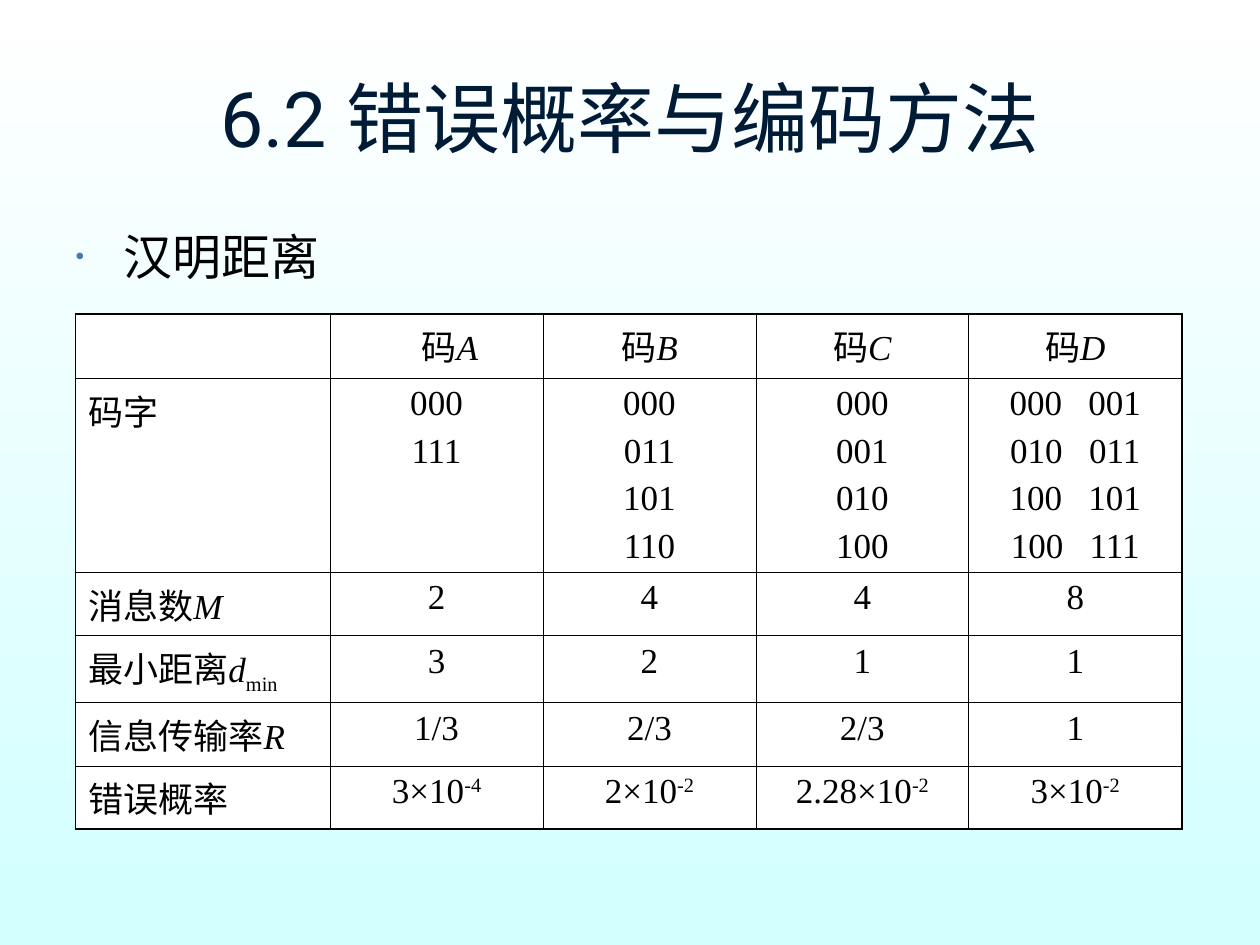
from lxml import etree
from pptx import Presentation
from pptx import util as u
from pptx.dml.color import RGBColor
from pptx.enum import text
from pptx.oxml.ns import qn

ALIGN = text.PP_ALIGN
SERIF = "Times New Roman"
SANS = "Roboto"
BLACK = "000000"
THIN, THICK = 0.45, 1.08
COLUMN_WIDTHS = [2.02] + [1.69] * 4
ROW_HEIGHTS = [0.51, 1.54, 0.5, 0.53, 0.5, 0.5]
CODES = ["A", "B", "C", "D"]
CODEWORDS = [
    ["000", "111"],
    ["000", "011", "101", "110"],
    ["000", "001", "010", "100"],
    ["000 001", "010 011", "100 101", "100 111"],
]
ROW_LABELS = [
    ("码字", "", ""),
    ("消息数", "M", ""),
    ("最小距离", "d", "min"),
    ("信息传输率", "R", ""),
    ("错误概率", "", ""),
]
VALUES = [
    ["2", "4", "4", "8"],
    ["3", "2", "1", "1"],
    ["1/3", "2/3", "2/3", "1"],
]
ERROR_RATES = [("3×10", "-4"), ("2×10", "-2"), ("2.28×10", "-2"), ("3×10", "-2")]


def color(value):
    return RGBColor.from_string(value)


def add_text(paragraph, content, size=20, font=SERIF, fill=BLACK,
             italic=False, baseline=0, spacing=0):
    run = paragraph.add_run()
    run.text = content
    run.font.size = u.Pt(size)
    run.font.name = font
    run.font.bold = False
    run.font.italic = italic
    run.font.color.rgb = color(fill)
    properties = run.font._element
    if baseline:
        properties.set("baseline", str(baseline * 1000))
    if spacing:
        properties.set("spc", str(spacing * 100))


def add_element(parent, tag, **attributes):
    return etree.SubElement(parent, qn(tag), **attributes)


def set_indent(paragraph, left, first=0):
    properties = paragraph._p.get_or_add_pPr()
    properties.set("marL", str(u.Inches(left)))
    properties.set("indent", str(u.Inches(first)))
    return properties


def place(shape, left, top, width, height):
    shape.left, shape.top = u.Inches(left), u.Inches(top)
    shape.width, shape.height = u.Inches(width), u.Inches(height)


def set_background(slide):
    fill = slide.background.fill
    fill.gradient()
    fill.gradient_angle = 270
    for stop, value in zip(fill.gradient_stops, ["FFFFFF", "D2FFFF"]):
        stop.color.rgb = color(value)


def fill_title(shape):
    place(shape, 0.5, 0.3, 9, 1.25)
    frame = shape.text_frame
    frame.auto_size = text.MSO_AUTO_SIZE.NONE
    frame.vertical_anchor = text.MSO_ANCHOR.MIDDLE
    paragraph = frame.paragraphs[0]
    paragraph.alignment = ALIGN.CENTER
    add_text(paragraph, "6.2 错误概率与编码方法", size=44, font=SANS, fill="001B36")


def fill_body(shape):
    place(shape, 0.5, 1.75, 9, 4.95)
    frame = shape.text_frame
    frame.auto_size = text.MSO_AUTO_SIZE.NONE
    paragraph = frame.paragraphs[0]
    paragraph.alignment = ALIGN.JUSTIFY
    paragraph.space_before = u.Pt(0)
    properties = set_indent(paragraph, 0.38, -0.38)
    bullet_color = add_element(properties, "a:buClr")
    add_element(bullet_color, "a:srgbClr", val="477AB1")
    add_element(properties, "a:buSzPct", val="50000")
    add_element(properties, "a:buChar", char="•")
    add_text(paragraph, "汉明距离", size=28, font="Cambria")


def set_border(cell, side, width):
    line = add_element(cell._tc.get_or_add_tcPr(), f"a:ln{side}", w=str(u.Pt(width)))
    fill = add_element(line, "a:solidFill")
    add_element(fill, "a:srgbClr", val=BLACK)


def format_cell(cell, row, column):
    edges = {
        "L": column == 0,
        "R": column == len(COLUMN_WIDTHS) - 1,
        "T": row == 0,
        "B": row == len(ROW_HEIGHTS) - 1,
    }
    for side, outer in edges.items():
        set_border(cell, side, THICK if outer else THIN)
    cell.fill.solid()
    cell.fill.fore_color.rgb = color("FFFFFF")


def first_paragraph(cell, alignment=ALIGN.CENTER):
    paragraph = cell.text_frame.paragraphs[0]
    paragraph.alignment = alignment
    return paragraph


def fill_codewords(cell, lines):
    paragraph = first_paragraph(cell)
    for index, line in enumerate(lines):
        if index:
            paragraph = cell.text_frame.add_paragraph()
            paragraph.alignment = ALIGN.CENTER
            paragraph.space_before = u.Pt(5)
        left, gap, right = line.partition(" ")
        add_text(paragraph, left)
        if gap:
            add_text(paragraph, gap, spacing=10)
            add_text(paragraph, right)


def fill_label(cell, name, symbol, subscript):
    paragraph = first_paragraph(cell, ALIGN.LEFT)
    add_text(paragraph, name, font=SANS)
    if symbol:
        add_text(paragraph, symbol, italic=True)
    if subscript:
        add_text(paragraph, subscript, baseline=-25)


def add_code_table(slide):
    frame = slide.shapes.add_table(
        len(ROW_HEIGHTS), len(COLUMN_WIDTHS), u.Inches(0.6), u.Inches(2.49),
        u.Inches(sum(COLUMN_WIDTHS)), u.Inches(sum(ROW_HEIGHTS)))
    table = frame.table
    table.first_row = table.horz_banding = False
    for column, width in zip(table.columns, COLUMN_WIDTHS):
        column.width = u.Inches(width)
    for row, height in zip(table.rows, ROW_HEIGHTS):
        row.height = u.Inches(height)
    for row in range(len(ROW_HEIGHTS)):
        for column in range(len(COLUMN_WIDTHS)):
            format_cell(table.cell(row, column), row, column)

    for row, label in enumerate(ROW_LABELS, 1):
        fill_label(table.cell(row, 0), *label)
    for column, code in enumerate(CODES, 1):
        heading = first_paragraph(table.cell(0, column))
        if column == 1:
            set_indent(heading, 0.21)
        add_text(heading, "码", font=SANS)
        add_text(heading, code, italic=True)
        fill_codewords(table.cell(1, column), CODEWORDS[column - 1])
        for row, values in enumerate(VALUES, 2):
            add_text(first_paragraph(table.cell(row, column)), values[column - 1])
        rate = first_paragraph(table.cell(5, column))
        mantissa, exponent = ERROR_RATES[column - 1]
        add_text(rate, mantissa)
        add_text(rate, exponent, baseline=30)


def main():
    presentation = Presentation()
    presentation.slide_width = u.Inches(10)
    presentation.slide_height = u.Inches(7.5)
    slide = presentation.slides.add_slide(presentation.slide_layouts[1])
    set_background(slide)
    fill_title(slide.shapes.title)
    fill_body(slide.placeholders[1])
    add_code_table(slide)
    presentation.save("out.pptx")


if __name__ == "__main__":
    main()
